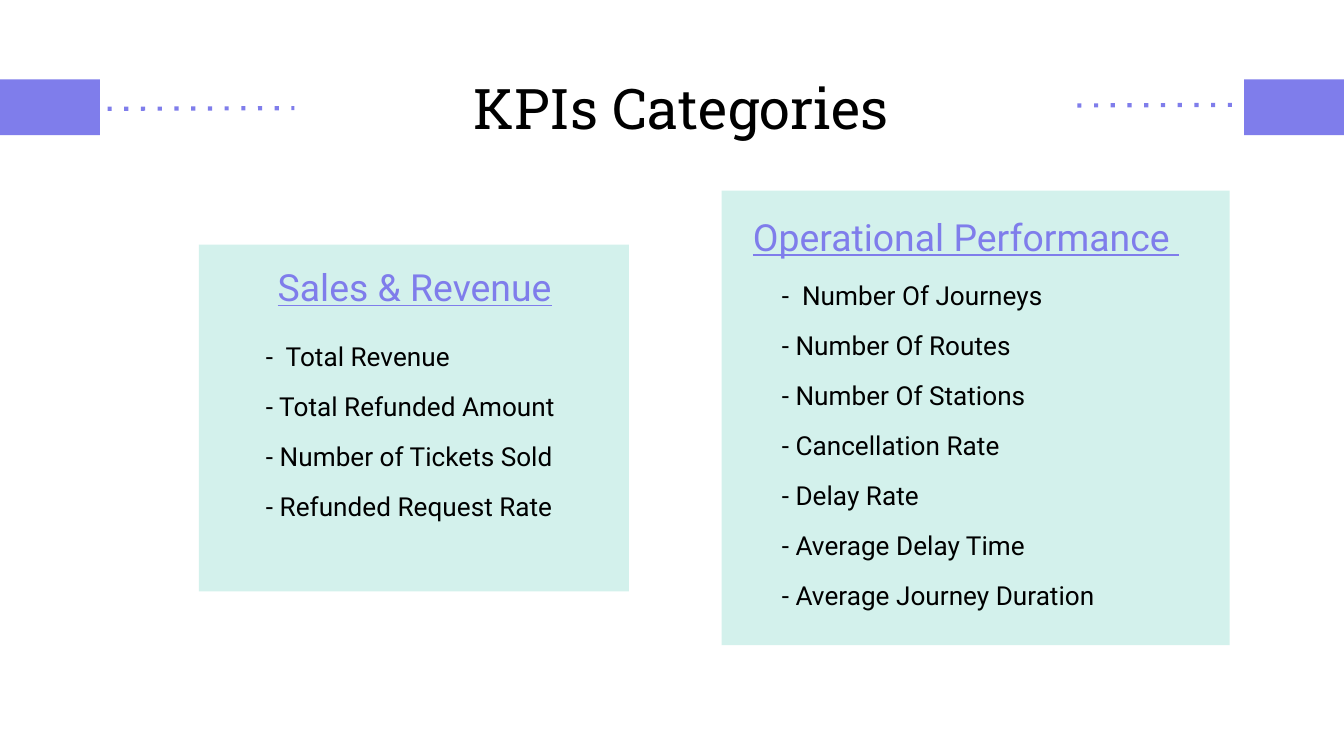
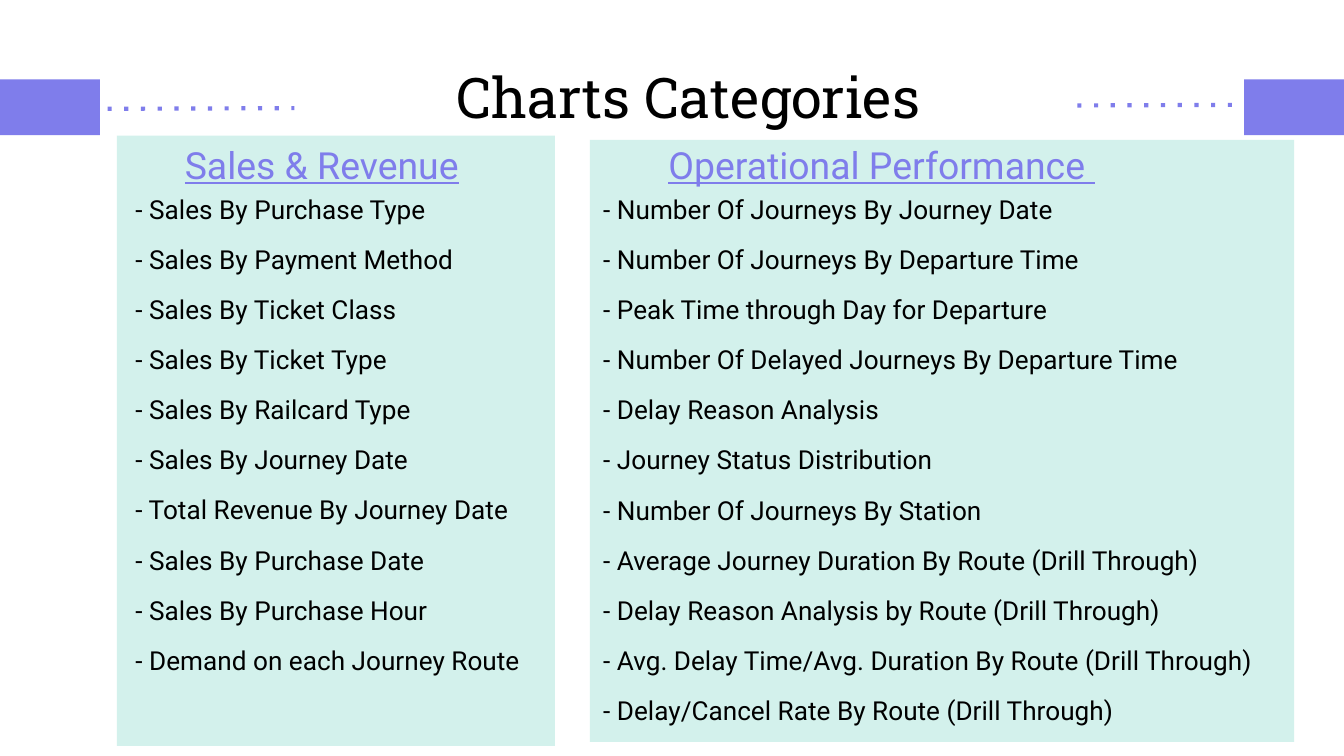
from collections import namedtuple

from lxml import etree
from pptx import Presentation
from pptx import util as u
from pptx.dml.color import RGBColor
from pptx.enum import dml, shapes, text
from pptx.oxml import ns

PURPLE, MINT, WHITE, BLACK = "7F7DEB", "89DBCC", "FFFFFF", "000000"
BODY_FONT, TITLE_FONT = "Roboto", "Roboto Slab"
SLIDE_WIDTH, SLIDE_HEIGHT = 720, 405
BAND_TOP, BAND_WIDTH, BAND_HEIGHT = 42.5, 54, 30
MINT_OPACITY = 37

Box = namedtuple("Box", "left top width height")


def colour(hex_value):
    return RGBColor.from_string(hex_value)


def points(box):
    return [u.Pt(length) for length in box]


def inside(outer, inner):
    """Move a box given relative to outer into slide coordinates."""
    return Box(outer.left + inner.left, outer.top + inner.top, inner.width, inner.height)


def add_rectangle(slide, box, fill, opacity=100):
    rectangle = slide.shapes.add_shape(shapes.MSO_SHAPE.RECTANGLE, *points(box))
    rectangle.shadow.inherit = False
    rectangle.line.fill.background()
    rectangle.fill.solid()
    rectangle.fill.fore_color.rgb = colour(fill)
    if opacity < 100:
        fill_colour = rectangle.fill._xPr.find(".//" + ns.qn("a:srgbClr"))
        etree.SubElement(fill_colour, ns.qn("a:alpha"), val=str(opacity * 1000))


def add_text(slide, box, lines, size, font=BODY_FONT, ink=BLACK, heading=False,
             underline=None, gap=0):
    """Headings are centred both ways; other text starts at the top left."""
    text_box = slide.shapes.add_textbox(*points(box))
    frame = text_box.text_frame
    frame.word_wrap = True
    frame.margin_left = frame.margin_right = u.Pt(7.2)
    frame.margin_top = frame.margin_bottom = u.Pt(7.2)
    frame.vertical_anchor = text.MSO_ANCHOR.MIDDLE if heading else text.MSO_ANCHOR.TOP
    frame.text = "\n".join(lines)
    for number, paragraph in enumerate(frame.paragraphs):
        paragraph.alignment = text.PP_ALIGN.CENTER if heading else text.PP_ALIGN.LEFT
        if number:
            paragraph.space_before = u.Pt(gap)
        for run in paragraph.runs:
            run.font.name = font
            run.font.size = u.Pt(size)
            run.font.underline = underline
            run.font.color.rgb = colour(ink)
    return text_box


def add_header(slide, title, title_top):
    for left in (-0.5, SLIDE_WIDTH - BAND_WIDTH + 0.5):
        add_rectangle(slide, Box(left, BAND_TOP, BAND_WIDTH, BAND_HEIGHT), PURPLE)
    dots = slide.shapes.add_connector(
        shapes.MSO_CONNECTOR.STRAIGHT, u.Pt(57.6), u.Pt(58.3), u.Pt(662.4), u.Pt(56.2))
    dots.line.color.rgb = colour(PURPLE)
    dots.line.width = u.Pt(2.25)
    dots.line.dash_style = dml.MSO_LINE.ROUND_DOT
    # The preset "dot" is the square-cornered pattern
    dots.line._ln.find(ns.qn("a:prstDash")).set("val", "dot")
    etree.SubElement(dots._element.spPr, ns.qn("a:effectLst"))

    # White ground hides the middle of the dotted line
    title_box = add_text(slide, Box(157.7, title_top, 414.7, 29.5), [title], 30,
                         TITLE_FONT, heading=True)
    title_box.fill.solid()
    title_box.fill.fore_color.rgb = colour(WHITE)


def add_panel(slide, panel, heading, heading_box, items, items_box):
    """heading_box and items_box are relative to the panel."""
    add_rectangle(slide, panel, MINT, MINT_OPACITY)
    add_text(slide, inside(panel, heading_box), [heading], 20, ink=PURPLE,
             heading=True, underline=True)
    add_text(slide, inside(panel, items_box), items, 14, gap=10)


def add_categories_slide(deck, title, title_top, panels):
    slide = deck.slides.add_slide(deck.slide_layouts[6])
    add_header(slide, title, title_top)
    for panel in panels:
        add_panel(slide, *panel)


SALES, OPERATIONS = "Sales & Revenue", "Operational Performance "

KPI_PANELS = [
    (Box(106.6, 131, 230.4, 185.8),
     SALES, Box(31.7, 1.4, 167.8, 42.5),
     ["-  Total Revenue",
      "- Total Refunded Amount",
      "- Number of Tickets Sold",
      "- Refunded Request Rate"],
     Box(28.8, 44, 173.5, 108.7)),
    (Box(386.6, 102.2, 272.2, 243.4),
     OPERATIONS, Box(0, 0, 262, 49),
     ["-  Number Of Journeys",
      "- Number Of Routes",
      "- Number Of Stations",
      "- Cancellation Rate",
      "- Delay Rate",
      "- Average Delay Time",
      "- Average Journey Duration"],
     Box(25.2, 40.3, 221, 195.8)),
]

CHART_PANELS = [
    (Box(62.6, 72.7, 234.7, 326.9),
     SALES, Box(0, 0.7, 219.6, 29.5),
     ["- Sales By Purchase Type",
      "- Sales By Payment Method",
      "- Sales By Ticket Class",
      "- Sales By Ticket Type",
      "- Sales By Railcard Type",
      "- Sales By Journey Date",
      "- Total Revenue By Journey Date",
      "- Sales By Purchase Date",
      "- Sales By Purchase Hour",
      "- Demand on each Journey Route"],
     Box(2.9, 23.8, 228.2, 290.9)),
    (Box(316.1, 74.9, 377.3, 322.6),
     OPERATIONS, Box(0, 0, 312.5, 26.6),
     ["- Number Of Journeys By Journey Date",
      "- Number Of Journeys By Departure Time",
      "- Peak Time through Day for Departure",
      "- Number Of Delayed Journeys By Departure Time",
      "- Delay Reason Analysis",
      "- Journey Status Distribution",
      "- Number Of Journeys By Station",
      "- Average Journey Duration By Route (Drill Through)",
      "- Delay Reason Analysis by Route (Drill Through)",
      "- Avg. Delay Time/Avg. Duration By Route (Drill Through)",
      "- Delay/Cancel Rate By Route (Drill Through)"],
     Box(0, 21.6, 377.3, 301)),
]


def main():
    deck = Presentation()
    deck.slide_width, deck.slide_height = u.Pt(SLIDE_WIDTH), u.Pt(SLIDE_HEIGHT)
    add_categories_slide(deck, "KPIs Categories", 42.5, KPI_PANELS)
    add_categories_slide(deck, " Charts Categories", 36.7, CHART_PANELS)
    deck.save("out.pptx")


if __name__ == "__main__":
    main()
